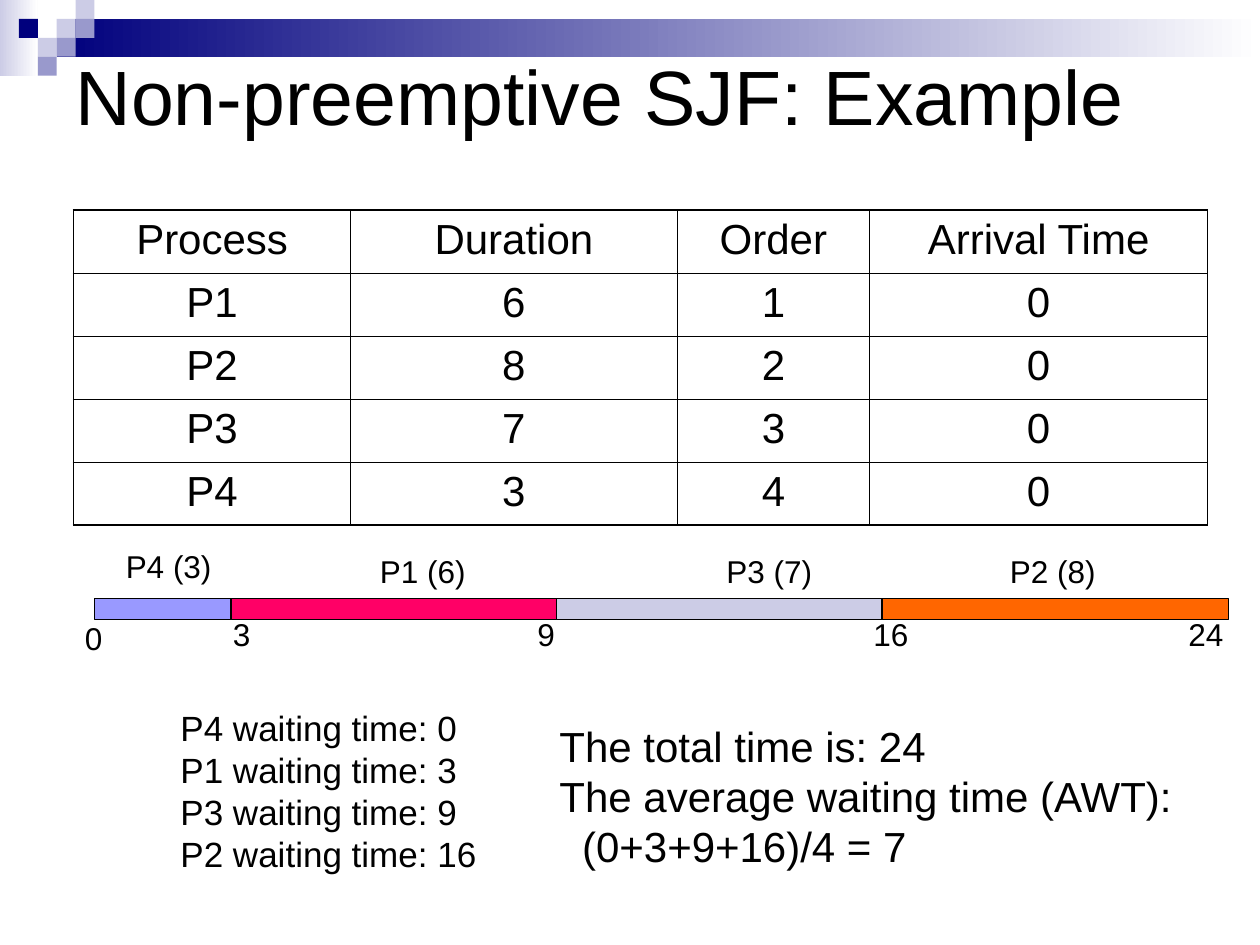
from itertools import accumulate
from lxml.etree import SubElement
from pptx import Presentation
from pptx.dml.color import RGBColor as Rgb
from pptx.enum.shapes import MSO_SHAPE as Shape
from pptx.enum.text import MSO_ANCHOR as Anchor, MSO_AUTO_SIZE as AutoSize, PP_ALIGN as Align
from pptx.oxml.ns import qn
from pptx.util import Inches, Pt

UNIT = Inches(1) // 12
COLORS = {
    "ink": "000000", "paper": "FFFFFF", "navy": "00007D", "mist": "CCCCE6",
    "slate": "9999CC", "violet": "9999FF", "pink": "FF0066", "orange": "FF6600",
}


def color(name):
    """Return the named colour."""
    return Rgb.from_string(COLORS[name])


def place(*cells):
    """Turn grid units of a twelfth of an inch into slide lengths."""
    return [round(cell * UNIT) for cell in cells]


def apply(target, values):
    """Set each attribute of the target from a dict."""
    for name, value in values.items():
        setattr(target, name, value)


def write(frame, lines, size, **para_format):
    """Fill a text frame with one paragraph per line."""
    for index, line in enumerate(lines):
        para = frame.add_paragraph() if index else frame.paragraphs[0]
        apply(para, para_format)
        span = para.add_run()
        span.text = line
        apply(span.font, {"size": Pt(size), "name": "Arial", "bold": False})
        span.font.color.rgb = color("ink")


def add_label(page, box, lines, size):
    """Add an unwrapped text box."""
    frame = page.shapes.add_textbox(*place(*box)).text_frame
    apply(frame, {"word_wrap": False, "auto_size": AutoSize.SHAPE_TO_FIT_TEXT})
    write(frame, lines, size)
    return frame


def add_block(page, box, fills, outlined=False):
    """Add a rectangle with a plain fill or a left-to-right gradient."""
    block = page.shapes.add_shape(Shape.RECTANGLE, *place(*box))
    block.shadow.inherit = False
    if len(fills) == 1:
        block.fill.solid()
        block.fill.fore_color.rgb = color(fills[0])
    else:
        block.fill.gradient()
        block.fill.gradient_angle = 0
        for stop, name, position in zip(block.fill.gradient_stops, fills, (0, 1)):
            stop.color.rgb = color(name)
            stop.position = position
    if outlined:
        block.line.color.rgb = color("ink")
        block.line.width = Pt(0.75)
    else:
        block.line.fill.background()


def add_banner(page, box):
    """Draw the gradient band and its mosaic of small squares."""
    left, top, width, height = box
    side = height / 4
    add_block(page, (left, top, 2 * side, height), ("mist", "paper"))
    add_block(page, (left + 3 * side, top + side, width - 3 * side, 2 * side), ("navy", "paper"))
    mosaic = {
        "mist": [(3, 1), (4, 0), (2, 2)],
        "slate": [(4, 1), (3, 2), (2, 3)],
        "navy": [(1, 1)],
    }
    for name, spots in mosaic.items():
        for column, row in spots:
            add_block(page, (left + column * side, top + row * side, side, side), (name,))


def add_title(page, box, text):
    """Move and format the title placeholder, in front of the banner."""
    title = page.shapes.title
    apply(title, dict(zip(("left", "top", "width", "height"), place(*box))))
    frame = title.text_frame
    apply(frame, {"vertical_anchor": Anchor.MIDDLE, "auto_size": AutoSize.NONE})
    write(frame, [text], 44, alignment=Align.LEFT)
    page.shapes._spTree.append(title._element)


def add_border(cell, side, width):
    """Draw one side of a table cell."""
    line = SubElement(cell._tc.get_or_add_tcPr(), qn(f"a:ln{side}"), w=str(Pt(width)))
    SubElement(SubElement(line, qn("a:solidFill")), qn("a:srgbClr"), val=COLORS["ink"])


def add_processes(page, box, rows, columns):
    """Build the process table, with a heavier outer frame."""
    table = page.shapes.add_table(len(rows), len(columns), *place(*box)).table
    apply(table, {"first_row": False, "horz_banding": False})
    for column, width in zip(table.columns, columns):
        column.width = Inches(width)
    for row, values in enumerate(rows):
        for column, value in enumerate(values):
            cell = table.cell(row, column)
            outer = {"L": column == 0, "R": column == len(columns) - 1,
                     "T": row == 0, "B": row == len(rows) - 1}
            for side, heavy in outer.items():
                add_border(cell, side, 1.08 if heavy else 0.45)
            cell.fill.background()
            write(cell.text_frame, [value], 24, alignment=Align.CENTER, space_before=Pt(6))


def add_timeline(page, box, jobs):
    """Draw the schedule as bars, with job names above and times below."""
    left, top, _, height = box
    add_label(page, (left - 2.1, top + 1.4, 4.1, 4.8), ["0"], 18)
    ends = accumulate(duration for _, duration, *_ in jobs)
    for (name, duration, fill, start, width, label, tick), end in zip(jobs, ends):
        lift = 5.5 if start == 0 else 5
        add_block(page, (left + start, top, width, height), (fill,), outlined=True)
        add_label(page, (left + label, top - lift, 10.6, 4.8), [f"{name} ({duration})"], 18)
        add_label(page, (left + tick, top + 1, 4.1 if end < 10 else 5.8, 4.8), [str(end)], 18)


def add_results(page, box, jobs):
    """List the waiting times beside the totals."""
    left, top, width, height = box
    starts = list(accumulate((job[1] for job in jobs), initial=0))
    waits = [f"{job[0]} waiting time: {start}" for job, start in zip(jobs, starts)]
    add_label(page, (left, top, 30.6, height), waits, 20)
    totals = ["The total time is: 24", "The average waiting time (AWT):", "(0+3+9+16)/4 = 7"]
    frame = add_label(page, (left + 36.1, top + 1.3, width - 36.1, 15.6), totals, 24)
    frame.paragraphs[-1]._p.get_or_add_pPr().set("marL", str(Inches(0.18)))


def main():
    """Build and save the slide."""
    deck = Presentation()
    apply(deck, {"slide_width": Inches(10), "slide_height": Inches(7.5)})
    page = deck.slides.add_slide(deck.slide_layouts[5])
    rows = [
        ("Process", "Duration", "Order", "Arrival Time"),
        ("P1", "6", "1", "0"),
        ("P2", "8", "2", "0"),
        ("P3", "7", "3", "0"),
        ("P4", "3", "4", "0"),
    ]
    jobs = [
        ("P4", 3, "violet", 0, 14, 1.8, 12),
        ("P1", 6, "pink", 13, 31, 26, 41),
        ("P3", 7, "mist", 44, 31, 59, 73),
        ("P2", 8, "orange", 75, 33, 86, 103),
    ]
    add_banner(page, (0, 0, 120, 7.2))
    add_title(page, (6, 2, 108, 14), "Non-preemptive SJF: Example")
    add_processes(page, (7, 20, 108, 30), rows, (2.2, 2.59, 1.53, 2.68))
    add_timeline(page, (9, 57, 108, 2), jobs)
    add_results(page, (16, 66.7, 98, 17.3), jobs)
    deck.save("out.pptx")


if __name__ == "__main__":
    main()
